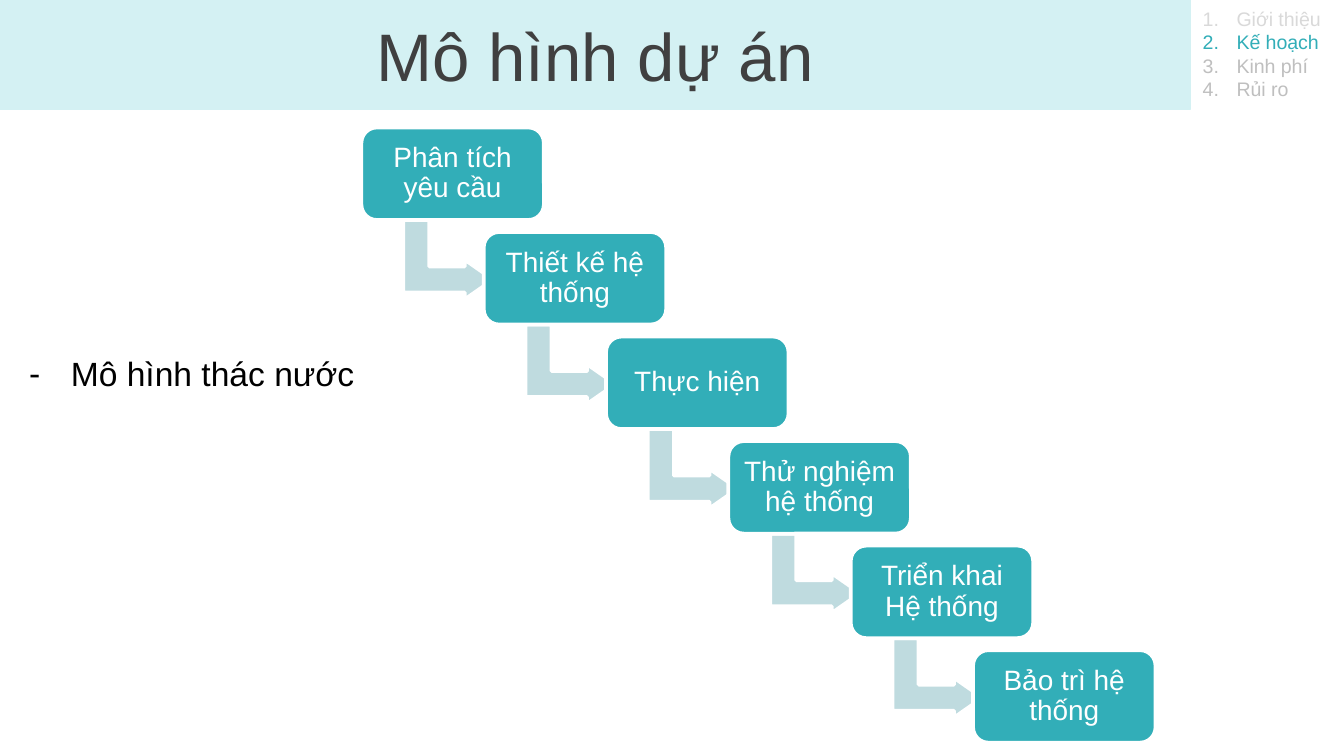
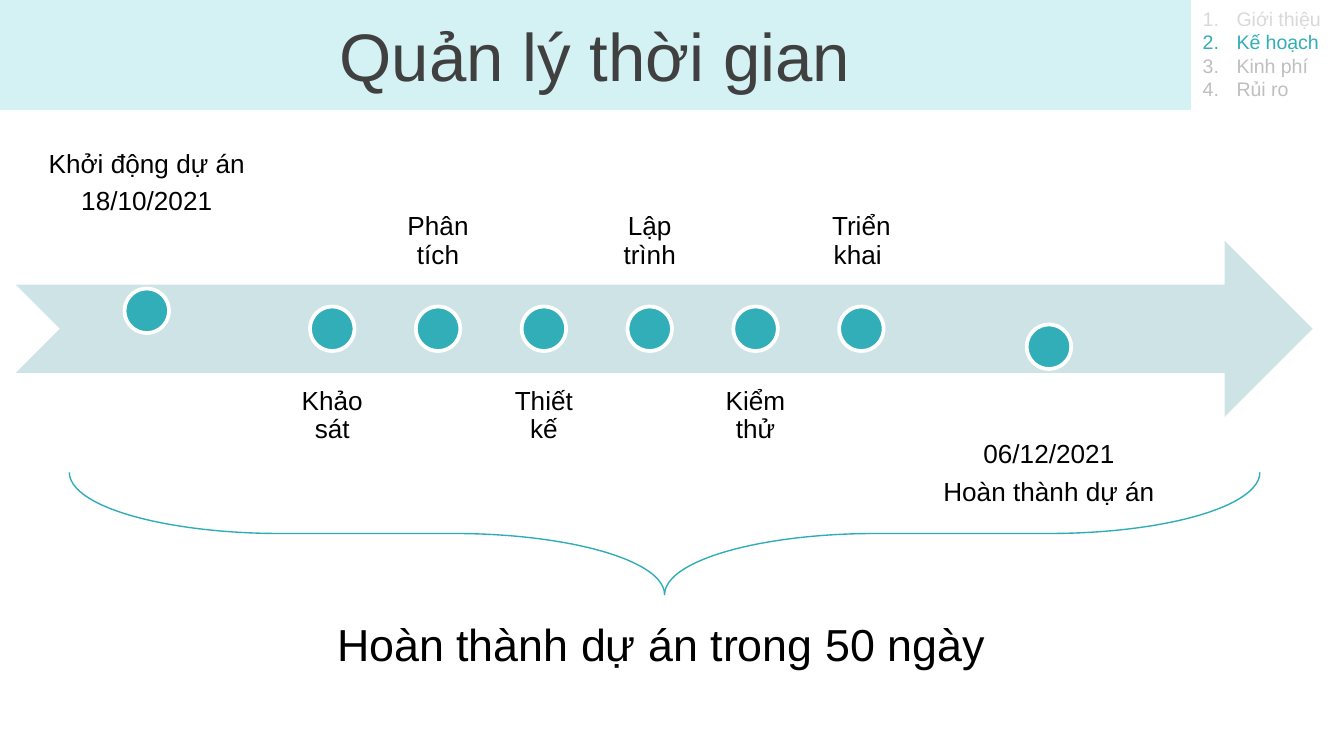
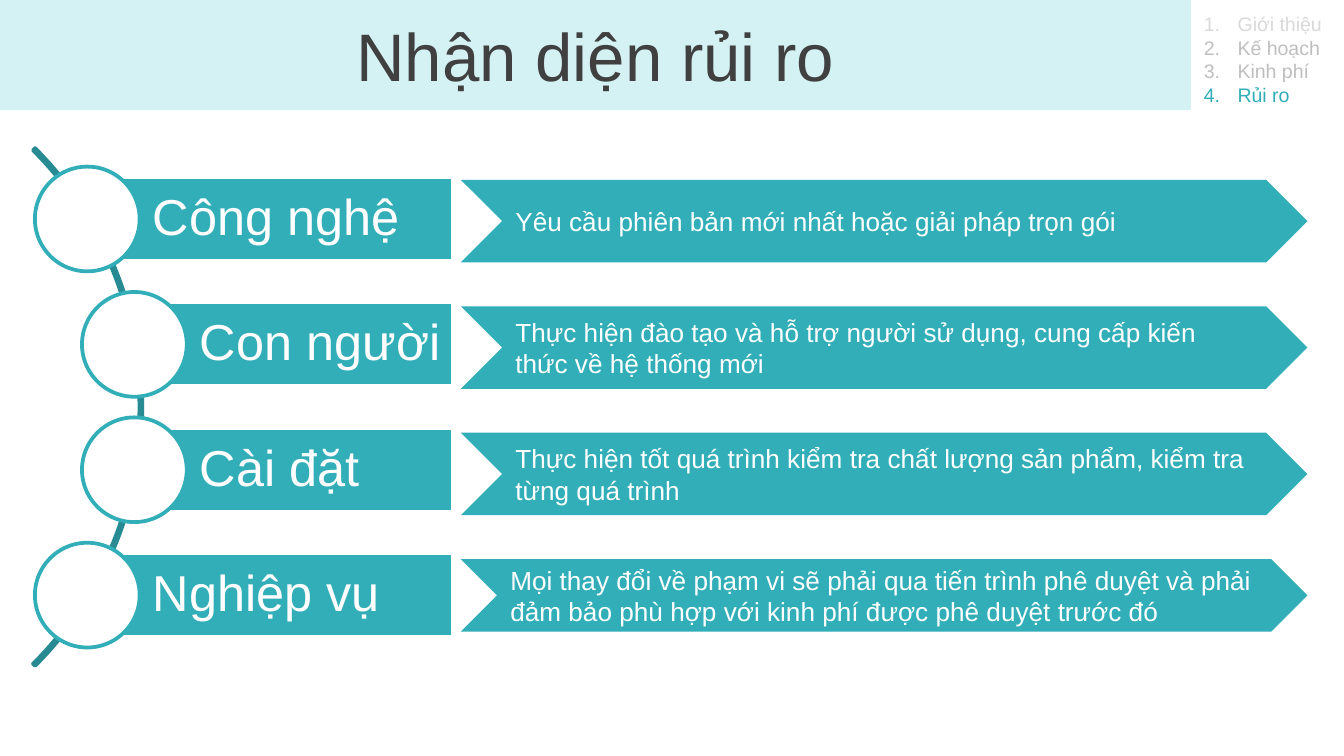
from collections import namedtuple

import lxml.etree
import pptx
import pptx.dml.color
import pptx.enum.shapes
import pptx.enum.text
import pptx.oxml.ns
import pptx.util

Cm = pptx.util.Cm
Pt = pptx.util.Pt
SHAPE = pptx.enum.shapes.MSO_SHAPE
ALIGN = pptx.enum.text.PP_ALIGN
ANCHOR = pptx.enum.text.MSO_ANCHOR
Box = namedtuple("Box", "left top width height")

TEAL = "32AEB8"
DARK_TEAL = "288B93"
BRACE_TEAL = "2EADB7"
BAND = "D4F1F3"
STEP_ARROW = "BFDBDF"
TIMELINE = "CEE3E6"
TITLE_GREY = "404040"
PAST_GREY = "D9D9D9"
NEXT_GREY = "BFBFBF"
WHITE = "FFFFFF"
BLACK = "000000"
FONT = "Arial"
SECTIONS = ["Giới thiệu", "Kế hoạch", "Kinh phí", "Rủi ro"]
AGENDA_BOX = Box(22.48, 0, 2.92, 2.06)


def rgb(hex_colour):
    return pptx.dml.color.RGBColor.from_string(hex_colour)


def place(shape, box):
    shape.left, shape.top, shape.width, shape.height = (Cm(v) for v in box)


def paint(shape, fill=None, line=None, line_width=2):
    if fill:
        shape.fill.solid()
        shape.fill.fore_color.rgb = rgb(fill)
    else:
        shape.fill.background()
    if line:
        shape.line.color.rgb = rgb(line)
        shape.line.width = Pt(line_width)
    else:
        shape.line.fill.background()


def draw(slide, preset, box, fill=None, line=None, line_width=2, adjust=(), rotation=0):
    shape = slide.shapes.add_shape(preset, *(Cm(v) for v in box))
    shape.shadow.inherit = False
    paint(shape, fill, line, line_width)
    for index, value in enumerate(adjust):
        shape.adjustments[index] = value
    shape.rotation = rotation
    return shape


def write(shape, text, size, colour, align=ALIGN.LEFT, anchor=ANCHOR.MIDDLE,
          insets=(0.25, 0.13, 0.25, 0.13), diagram=False, wrap=True):
    frame = shape.text_frame
    frame.text = text
    frame.word_wrap = wrap
    frame.auto_size = pptx.enum.text.MSO_AUTO_SIZE.NONE
    frame.vertical_anchor = anchor
    (frame.margin_left, frame.margin_top,
     frame.margin_right, frame.margin_bottom) = (Cm(v) for v in insets)
    for paragraph in frame.paragraphs:
        paragraph.alignment = align
        paragraph.space_before = Pt(0)
        if diagram:
            paragraph.line_spacing = 0.9
            paragraph.space_after = Pt(size * 0.35)
        paragraph.font.name = FONT
        paragraph.font.size = Pt(size)
        paragraph.font.color.rgb = rgb(colour)


def add_text(slide, box, text, size, colour, **style):
    label = slide.shapes.add_textbox(*(Cm(v) for v in box))
    write(label, text, size, colour, **style)
    return label


def mark(paragraph, colour, hang, tag, **attributes):
    qn = pptx.oxml.ns.qn
    paragraph.font.color.rgb = rgb(colour)
    properties = paragraph._p.get_or_add_pPr()
    properties.set("marL", str(Cm(hang)))
    properties.set("indent", str(-Cm(hang)))
    bullet_colour = lxml.etree.Element(qn("a:buClr"))
    lxml.etree.SubElement(bullet_colour, qn("a:srgbClr"), val=colour)
    bullet_font = lxml.etree.Element(qn("a:buFont"), typeface=FONT)
    bullet = lxml.etree.Element(qn(tag), **attributes)
    run_defaults = properties.find(qn("a:defRPr"))
    for element in (bullet_colour, bullet_font, bullet):
        run_defaults.addprevious(element)


def title_band(slide, box, title):
    band = slide.shapes.title
    place(band, box)
    paint(band, BAND, BAND, 0.75)
    write(band, title, 36, TITLE_GREY, ALIGN.CENTER)


def agenda(slide, box, current):
    sections = slide.placeholders[1]
    place(sections, box)
    write(sections, "\n".join(SECTIONS), 10.5, NEXT_GREY, anchor=ANCHOR.TOP)
    for section, paragraph in zip(SECTIONS, sections.text_frame.paragraphs):
        idle = PAST_GREY if section == SECTIONS[0] else NEXT_GREY
        colour = TEAL if section == current else idle
        mark(paragraph, colour, 0.64, "a:buAutoNum", type="arabicPeriod")


def new_slide(deck, title, current, agenda_box=AGENDA_BOX):
    slide = deck.slides.add_slide(deck.slide_layouts[1])
    title_band(slide, Box(0, 0, 22.5, 2.06), title)
    agenda(slide, agenda_box, current)
    return slide


def waterfall(slide, box, phases):
    width, height = 3.45, 1.75
    step_x = (box.width - width) / (len(phases) - 1)
    step_y = (box.height - height) / (len(phases) - 1)
    for index, phase in enumerate(phases):
        left, top = box.left + index * step_x, box.top + index * step_y
        if index < len(phases) - 1:
            draw(slide, SHAPE.BENT_UP_ARROW, Box(left + 0.89, top + 1.65, 1.5, 1.7),
                 STEP_ARROW, WHITE, adjust=(0.328, 0.25, 0.358), rotation=90)
        step = draw(slide, SHAPE.ROUNDED_RECTANGLE, Box(left, top, width, height),
                    TEAL, WHITE, adjust=(0.167,))
        write(step, phase, 15, WHITE, ALIGN.CENTER, insets=(0.15,) * 4, diagram=True)


def event(slide, label_box, text, above, dot_middle):
    add_text(slide, label_box, text, 14, BLACK, align=ALIGN.CENTER,
             anchor=ANCHOR.BOTTOM if above else ANCHOR.TOP,
             insets=(0.28,) * 4, diagram=True)
    dot = 0.84
    draw(slide, SHAPE.OVAL,
         Box(label_box.left + (label_box.width - dot) / 2, dot_middle - dot / 2, dot, dot),
         TEAL, WHITE)


def timeline(slide, box, start, phases, finish):
    draw(slide, SHAPE.NOTCHED_RIGHT_ARROW, box, TIMELINE)
    middle = box.top + box.height / 2
    wide, tall, gap, shift = 4.95, 1.98, 0.18, 0.34
    event(slide, Box(box.left, box.top - gap - tall, wide, tall), start, True, middle - shift)
    for index, phase in enumerate(phases):
        above = index % 2 == 1
        offset = box.height * (-0.75 if above else 0.75)
        event(slide, Box(box.left + 5.03 + index * 2, box.top + offset, 1.9, box.height),
              phase, above, middle)
    event(slide, Box(box.left + 17.05, box.top + box.height + gap, wide, tall),
          finish, False, middle + shift)


def duration(slide, box, summary):
    span, depth = box.width, 2.31
    upright = Box(box.left + (span - depth) / 2, box.top + (depth - span) / 2, depth, span)
    draw(slide, SHAPE.RIGHT_BRACE, upright, line=BRACE_TEAL, line_width=0.75,
         adjust=(1.728, 0.5), rotation=90)
    add_text(slide, Box(box.left + 4.81, box.top + box.height - 1.27, 12.83, 1.27),
             summary, 24, BLACK, anchor=ANCHOR.TOP, wrap=False)


def risk_list(slide, box, risks):
    pitch, bar_height, circle = 2.37, 1.58, 1.98
    radius = 6.92
    draw(slide, SHAPE.BLOCK_ARC,
         Box(box.left + 2.03 - 2 * radius, box.top + box.height / 2 - radius,
             2 * radius, 2 * radius),
         line=DARK_TEAL, adjust=(189, 27, 0.004))
    for index, risk in enumerate(risks):
        indent = 0.99 if index in (0, len(risks) - 1) else 1.88
        left, top = box.left + indent, box.top + index * pitch
        bar = draw(slide, SHAPE.RECTANGLE,
                   Box(left, top, box.left + box.width - left, bar_height), TEAL, WHITE)
        write(bar, risk, 27, WHITE, insets=(1.24, 0.18, 0.1, 0.18), diagram=True)
        draw(slide, SHAPE.OVAL,
             Box(left - circle / 2, top + (bar_height - circle) / 2, circle, circle),
             WHITE, TEAL)


def responses(slide, box, answers):
    pitch = 2.39
    for index, answer in enumerate(answers):
        height = 1.37 if index == len(answers) - 1 else 1.56
        chevron = draw(slide, SHAPE.CHEVRON,
                       Box(box.left, box.top + index * pitch, box.width, height), TEAL)
        write(chevron, answer, 14, WHITE)


deck = pptx.Presentation()
deck.slide_width, deck.slide_height = Cm(25.4), Cm(14.29)

model = new_slide(deck, "Mô hình dự án", "Kế hoạch")
model_name = add_text(model, Box(0.3, 6.55, 8.1, 1.02), "Mô hình thác nước", 18, BLACK,
                      anchor=ANCHOR.TOP)
mark(model_name.text_frame.paragraphs[0], BLACK, 0.79, "a:buChar", char="-")
waterfall(model, Box(6.83, 2.41, 15.01, 11.63),
          ["Phân tích yêu cầu", "Thiết kế hệ thống", "Thực hiện",
           "Thử nghiệm hệ thống", "Triển khai Hệ thống", "Bảo trì hệ thống"])

schedule = new_slide(deck, "Quản lý thời gian", "Kế hoạch")
timeline(schedule, Box(0.3, 4.55, 24.51, 3.33),
         "Khởi động dự án\n18/10/2021",
         ["Khảo sát", "Phân tích", "Thiết kế", "Lập trình", "Kiểm thử", "Triển khai "],
         "06/12/2021\nHoàn thành dự án")
duration(schedule, Box(1.31, 8.93, 22.5, 3.87), "Hoàn thành dự án trong 50 ngày")

risk = new_slide(deck, "Nhận diện rủi ro", "Rủi ro", AGENDA_BOX._replace(left=22.5, top=0.1))
responses(risk, Box(8.71, 3.4, 16, 8.54),
          ["Yêu cầu phiên bản mới nhất hoặc giải pháp trọn gói",
           "Thực hiện đào tạo và hỗ trợ người sử dụng, cung cấp kiến thức về hệ thống mới",
           "Thực hiện tốt quá trình kiểm tra chất lượng sản phẩm, kiểm tra từng quá trình",
           "Mọi thay đổi về phạm vi sẽ phải qua tiến trình phê duyệt và phải đảm bảo "
           "phù hợp với kinh phí được phê duyệt trước đó"])
risk_list(risk, Box(0.66, 3.35, 7.91, 8.69),
          ["Công nghệ", "Con người", "Cài đặt", "Nghiệp vụ"])

deck.save("out.pptx")
